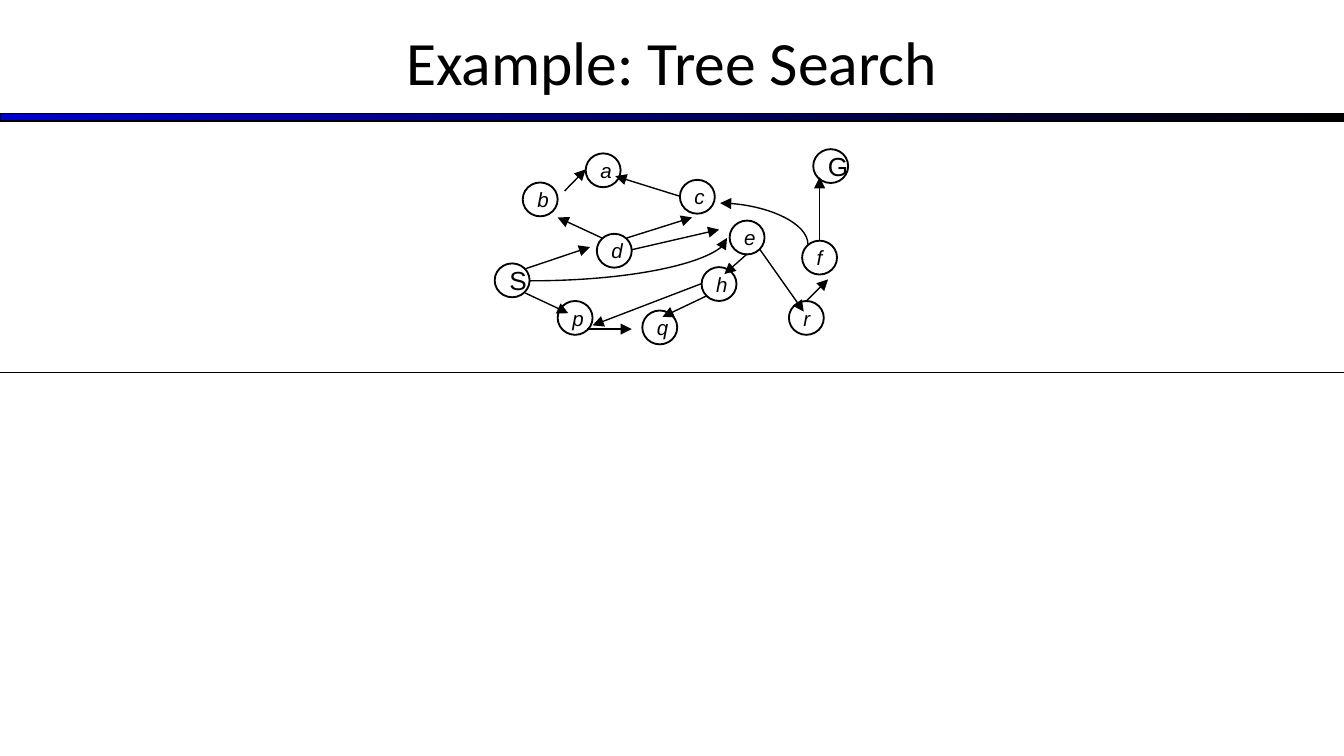
from dataclasses import dataclass

from lxml.etree import SubElement
from pptx import Presentation
from pptx.dml.color import RGBColor
from pptx.enum.shapes import MSO_CONNECTOR, MSO_SHAPE
from pptx.enum.text import MSO_ANCHOR, PP_ALIGN
from pptx.oxml.ns import qn
from pptx.util import Cm, Pt


@dataclass(frozen=True)
class Theme:
    ink: RGBColor = RGBColor(0, 0, 0)
    blue: RGBColor = RGBColor(0, 0, 0xCC)
    head: str = "Calibri"
    body: str = "Arial"
    title: float = 33
    large: float = 14
    small: float = 11
    thin: float = 0.75
    ring: float = 1


def write(frame, text, font, size, color, italic=False):
    frame.word_wrap = True
    frame.vertical_anchor = MSO_ANCHOR.MIDDLE
    frame.margin_left = frame.margin_right = Cm(0.18)
    frame.margin_top = frame.margin_bottom = Cm(0.1)
    line = frame.paragraphs[0]
    line.alignment = PP_ALIGN.CENTER
    run = line.add_run()
    run.text = text
    run.font.name = font
    run.font.size = Pt(size)
    run.font.color.rgb = color
    run.font.italic = italic


class Page:
    def __init__(self, slide, theme):
        self.slide = slide
        self.theme = theme

    def title(self, text):
        look = self.theme
        shape = self.slide.shapes.title
        shape.left, shape.top = Cm(0), Cm(-0.05)
        shape.width, shape.height = Cm(25.4), Cm(2.39)
        write(shape.text_frame, text, font=look.head, size=look.title, color=look.ink)

    def shape(self, kind, x, y, wide, high, weight):
        shape = self.slide.shapes.add_shape(kind, Cm(x), Cm(y), Cm(wide), Cm(high))
        shape.shadow.inherit = False
        shape.line.color.rgb = self.theme.ink
        shape.line.width = Pt(weight)
        return shape

    def bar(self, x, y, wide, high):
        shape = self.shape(MSO_SHAPE.RECTANGLE, x, y, wide, high, self.theme.thin)
        shape.fill.gradient()
        shape.fill.gradient_angle = 0
        for stop, color in zip(shape.fill.gradient_stops, (self.theme.blue, self.theme.ink)):
            stop.color.rgb = color

    def node(self, name, x, y):
        look = self.theme
        shape = self.shape(MSO_SHAPE.FLOWCHART_CONNECTOR, x, y, 0.66, 0.64, look.ring)
        shape.fill.background()
        small = name.islower()
        write(shape.text_frame, name, font=look.body, color=look.ink,
              size=look.small if small else look.large, italic=small)

    def line(self, x1, y1, x2, y2, tip=None, kind=MSO_CONNECTOR.STRAIGHT):
        line = self.slide.shapes.add_connector(kind, Cm(x1), Cm(y1), Cm(x2), Cm(y2))
        line.line.color.rgb = self.theme.ink
        line.line.width = Pt(self.theme.thin)
        props = line.element.spPr
        if tip:
            SubElement(props.find(qn("a:ln")), qn(f"a:{tip}"), type="triangle")
        SubElement(props, qn("a:effectLst"))
        return line

    def curve(self, x1, y1, x2, y2, tip):
        line = self.line(x1, y1, x2, y2, tip, MSO_CONNECTOR.CURVE)
        line.element.spPr.find(qn("a:prstGeom")).set("prst", "curvedConnector2")


NODES = {
    "S": (9.35, 4.98), "G": (15.37, 2.82), "d": (11.28, 4.42),
    "b": (9.88, 3.45), "p": (10.54, 5.69), "q": (12.14, 5.87),
    "c": (12.85, 3.4), "e": (13.79, 4.17), "h": (13.26, 5.05),
    "a": (11.07, 2.9), "f": (15.16, 4.55), "r": (14.91, 5.69),
}

EDGES = {
    "Sp": (9.93, 5.54, 10.74, 5.92),
    "pq": (11.1, 6.22, 11.94, 6.22),
    "hq": (13.36, 5.59, 12.52, 5.99),
    "hp": (13.26, 5.36, 11.2, 6.15),
    "eh": (14.12, 4.8, 13.69, 5.18),
    "er": (14.35, 4.7, 15.19, 5.89),
    "rf": (15.24, 5.69, 15.65, 5.28),
    "fG": (15.49, 4.55, 15.49, 3.35),
    "Sd": (9.93, 5.08, 11.15, 4.67),
    "db": (11.38, 4.5, 10.54, 4.11),
    "ba": (10.67, 3.61, 11.07, 3.2),
    "ca": (12.85, 3.71, 11.63, 3.33),
    "dc": (11.84, 4.5, 13.08, 4.11),
    "de": (11.94, 4.72, 13.59, 4.34),
}


def main():
    deck = Presentation()
    deck.slide_width, deck.slide_height = Cm(25.4), Cm(14.29)
    page = Page(deck.slides.add_slide(deck.slide_layouts[5]), Theme())
    page.bar(0, 2.15, 25.4, 0.14)
    page.title("Example: Tree Search")
    page.line(0, 7.04, 25.4, 7.04)
    for name, spot in NODES.items():
        page.node(name, *spot)
    for ends in EDGES.values():
        page.line(*ends, tip="tailEnd")
    page.curve(13.61, 3.84, 15.27, 4.62, tip="headEnd")
    page.curve(10.01, 5.31, 13.74, 4.5, tip="tailEnd")
    deck.save("out.pptx")


if __name__ == "__main__":
    main()
